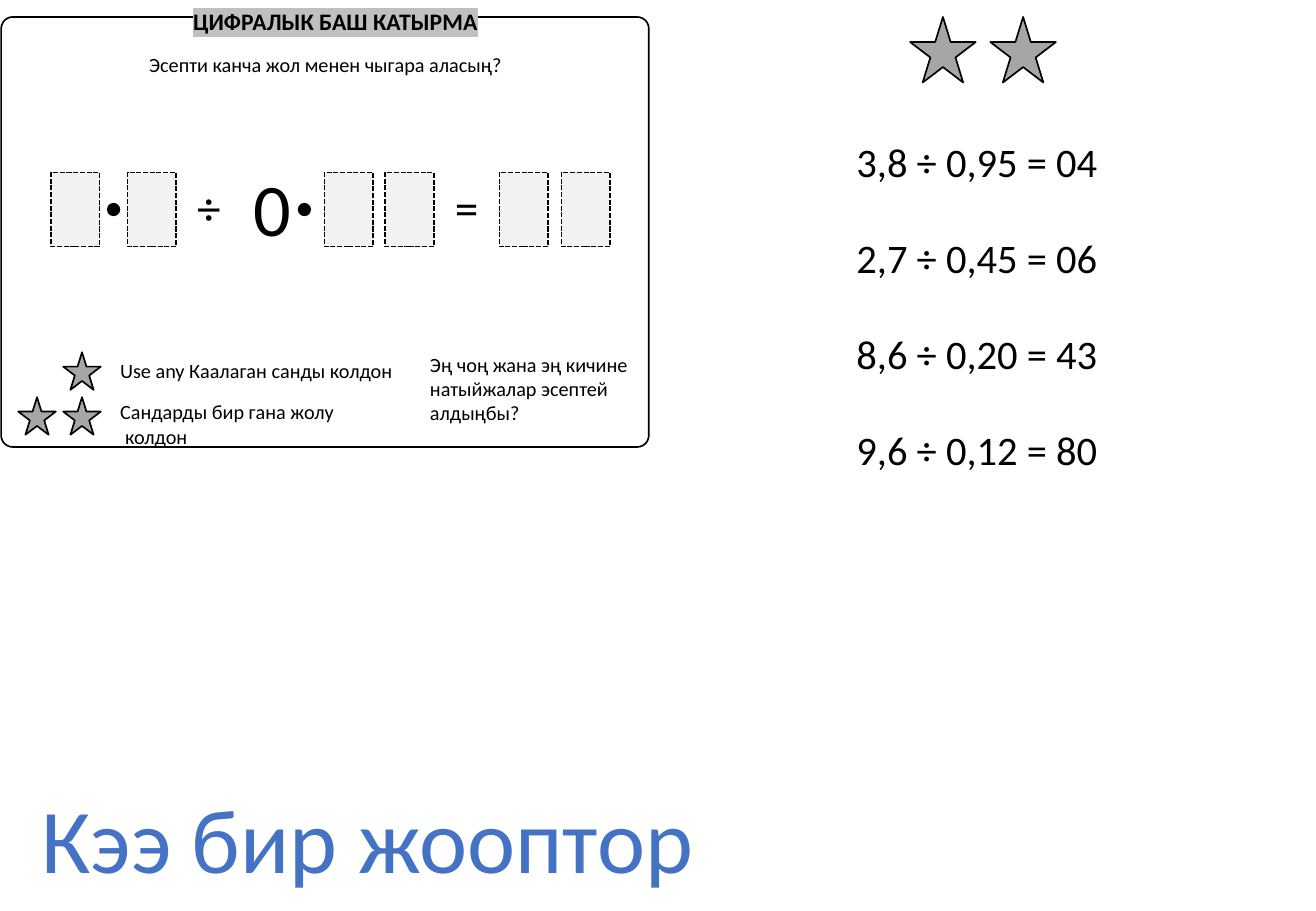
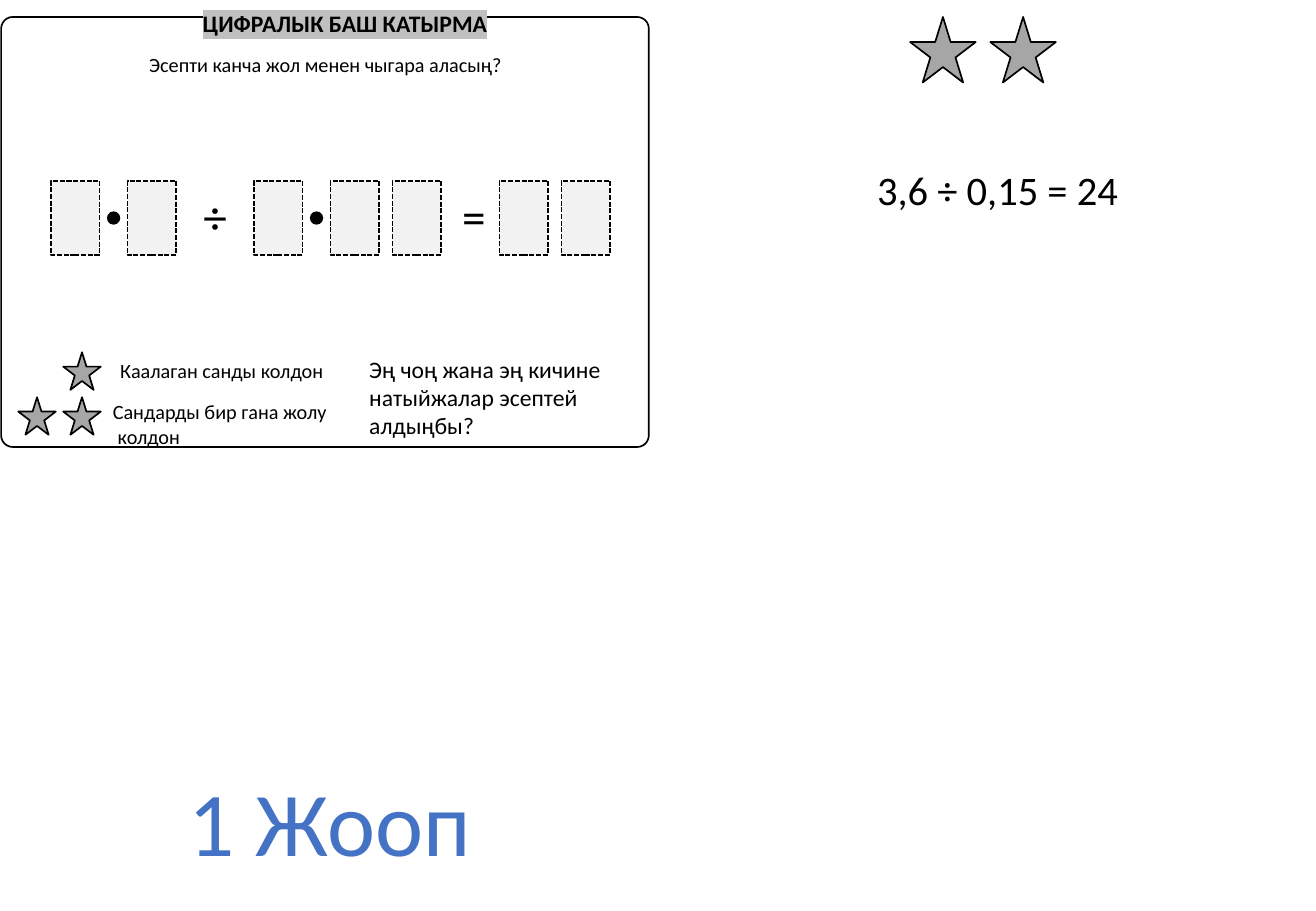
from lxml import etree
from pptx import Presentation
from pptx.dml.color import RGBColor
from pptx.enum.dml import MSO_LINE
from pptx.enum.shapes import MSO_SHAPE
from pptx.enum.text import MSO_AUTO_SIZE, PP_ALIGN
from pptx.oxml.ns import qn
from pptx.util import Inches, Pt

ROUNDED, RECT = MSO_SHAPE.ROUNDED_RECTANGLE, MSO_SHAPE.RECTANGLE
STAR, OVAL = MSO_SHAPE.STAR_5_POINT, MSO_SHAPE.OVAL
LEFT, CENTER = PP_ALIGN.LEFT, PP_ALIGN.CENTER
FONT = "Calibri"
COLORS = {"ink": "000000", "star": "A6A6A6", "digit": "F2F2F2",
          "accent": "4472C4", "highlight": "C0C0C0"}

# Content shared by both slides
TITLE = "ЦИФРАЛЫК БАШ КАТЫРМА"
QUESTION = "Эсепти канча жол менен чыгара аласың?"
ONCE_RULE = ["Сандарды бир гана жолу", "колдон"]
CHALLENGE = ["Эң чоң жана эң кичине", "натыйжалар эсептей", "алдыңбы?"]

# Content that differs; boxes are (left, top, width, height) in inches
PUZZLES = [
    {
        "title_box": (1.48, 0.06, 2.56, 0.47),
        "any_rule": "Use any Каалаган санды колдон",
        "any_box": (0.89, 2.9, 2.47, 0.5),
        "once_left": 0.89,
        "challenge": {"box": (3.44, 2.85, 1.89, 0.91), "size": 12},
        "row_top": 1.42,
        "digit_lefts": [0.42, 1.05, 2.67, 3.17, 4.11, 4.62],
        "point_lefts": [0.88, 2.45],
        "signs": [("÷", 1.52), ("=", 3.64)],
        "zero_left": 1.99,
        "answers": ["3,8 ÷ 0,95 = 04", "2,7 ÷ 0,45 = 06",
                    "8,6 ÷ 0,20 = 43", "9,6 ÷ 0,12 = 80"],
        "answers_at": (6.95, 1.08),
        "caption": "Кээ бир жооптор",
        "caption_box": (0.21, 6.39, 5.63, 1.01),
    },
    {
        "title_box": (1.56, 0.07, 2.56, 0.47),
        "any_rule": "Каалаган санды колдон",
        "any_box": (0.89, 2.9, 1.89, 0.3),
        "once_left": 0.83,
        "challenge": {"box": (2.94, 2.87, 2.25, 0.81), "size": 14, "wrap": True},
        "row_top": 1.49,
        "digit_lefts": [0.42, 1.05, 2.09, 2.72, 3.23, 4.11, 4.62],
        "point_lefts": [0.88, 2.55],
        "signs": [("÷", 1.57), ("=", 3.7)],
        "zero_left": None,
        "answers": ["3,6 ÷ 0,15 = 24"],
        "answers_at": (7.12, 1.31),
        "caption": "1 Жооп",
        "caption_box": (1.44, 6.25, 2.55, 1.01),
    },
]

DIGIT_WIDTH, DIGIT_HEIGHT, POINT_SIZE = 0.4, 0.61, 0.11
ANSWER_STEP = 0.79
SMALL_STAR, LARGE_STAR = 0.31, 0.54
STARS = [(0.52, 2.9, SMALL_STAR), (0.15, 3.27, SMALL_STAR), (0.52, 3.27, SMALL_STAR),
         (7.49, 0.14, LARGE_STAR), (8.15, 0.14, LARGE_STAR)]


def add_figure(slide, kind, box, fill=None, outlined=True):
    shape = slide.shapes.add_shape(kind, *map(Inches, box))
    shape.shadow.inherit = False
    if fill:
        shape.fill.solid()
        shape.fill.fore_color.rgb = RGBColor.from_string(COLORS[fill])
    else:
        shape.fill.background()
    if outlined:
        shape.line.color.rgb = RGBColor.from_string(COLORS["ink"])
        shape.line.width = Pt(1)
    else:
        shape.line.fill.background()
    return shape


def add_text(slide, lines, box, size, align=LEFT, color="ink", wrap=False):
    shape = slide.shapes.add_textbox(*map(Inches, box))
    frame = shape.text_frame
    frame.word_wrap = wrap
    frame.auto_size = MSO_AUTO_SIZE.SHAPE_TO_FIT_TEXT
    frame.text = "\n".join(lines)
    for paragraph in frame.paragraphs:
        paragraph.alignment = align
        font = paragraph.runs[0].font
        font.name, font.size = FONT, Pt(size)
        font.color.rgb = RGBColor.from_string(COLORS[color])
    return frame


def add_title(slide, box):
    frame = add_text(slide, [TITLE], box, 14, CENTER)
    frame.margin_top = frame.margin_bottom = 0
    font = frame.paragraphs[0].runs[0].font
    font.bold = True
    # Text highlight has to follow the text fill
    highlight = etree.Element(qn("a:highlight"))
    etree.SubElement(highlight, qn("a:srgbClr"), val=COLORS["highlight"])
    font._element.find(qn("a:solidFill")).addnext(highlight)


def add_equation(slide, puzzle):
    top = puzzle["row_top"]
    for left in puzzle["digit_lefts"]:
        digit = add_figure(slide, RECT, (left, top, DIGIT_WIDTH, DIGIT_HEIGHT), "digit")
        digit.line.dash_style = MSO_LINE.SQUARE_DOT
    point_top = top + (DIGIT_HEIGHT - POINT_SIZE) / 2
    for left in puzzle["point_lefts"]:
        add_figure(slide, OVAL, (left, point_top, POINT_SIZE, POINT_SIZE), "ink", False)
    for sign, left in puzzle["signs"]:
        add_text(slide, [sign], (left, top, 0.4, 0.57), 28, CENTER)
    if puzzle["zero_left"] is not None:
        add_text(slide, ["0"], (puzzle["zero_left"], top - 0.13, 0.51, 0.84), 44)


def build_slide(presentation, puzzle):
    slide = presentation.slides.add_slide(presentation.slide_layouts[6])

    # Card, heading and stars
    card = add_figure(slide, ROUNDED, (0.01, 0.14, 5.33, 3.54))
    card.adjustments[0] = 0.027
    add_title(slide, puzzle["title_box"])
    add_text(slide, [QUESTION], (1.11, 0.38, 3.14, 0.3), 12, CENTER)
    for left, top, size in STARS:
        add_figure(slide, STAR, (left, top, size, size), "star")

    add_equation(slide, puzzle)

    # Rules and challenge
    add_text(slide, [puzzle["any_rule"]], puzzle["any_box"], 12)
    once = add_text(slide, ONCE_RULE, (puzzle["once_left"], 3.24, 1.98, 0.5), 12)
    once.paragraphs[1]._p.get_or_add_pPr().set("marL", str(Inches(0.04)))
    add_text(slide, CHALLENGE, **puzzle["challenge"])

    # Answers
    left, top = puzzle["answers_at"]
    for index, answer in enumerate(puzzle["answers"]):
        add_text(slide, [answer], (left, top + index * ANSWER_STEP, 2.2, 0.5), 24)
    add_text(slide, [puzzle["caption"]], puzzle["caption_box"], 54, CENTER, "accent")


def main():
    presentation = Presentation()
    presentation.slide_width, presentation.slide_height = Inches(10.83), Inches(7.5)
    for puzzle in PUZZLES:
        build_slide(presentation, puzzle)
    presentation.save("out.pptx")


if __name__ == "__main__":
    main()
